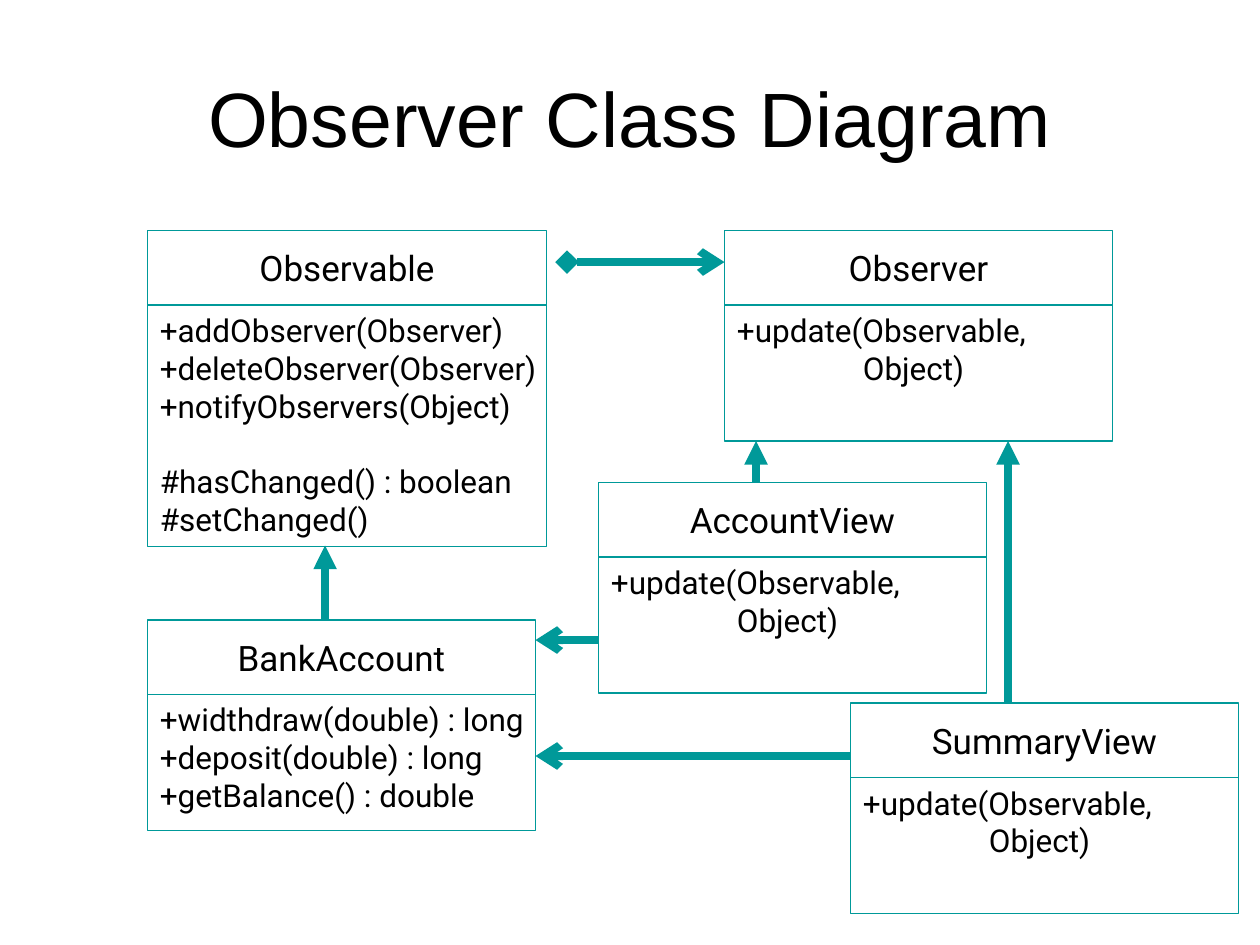
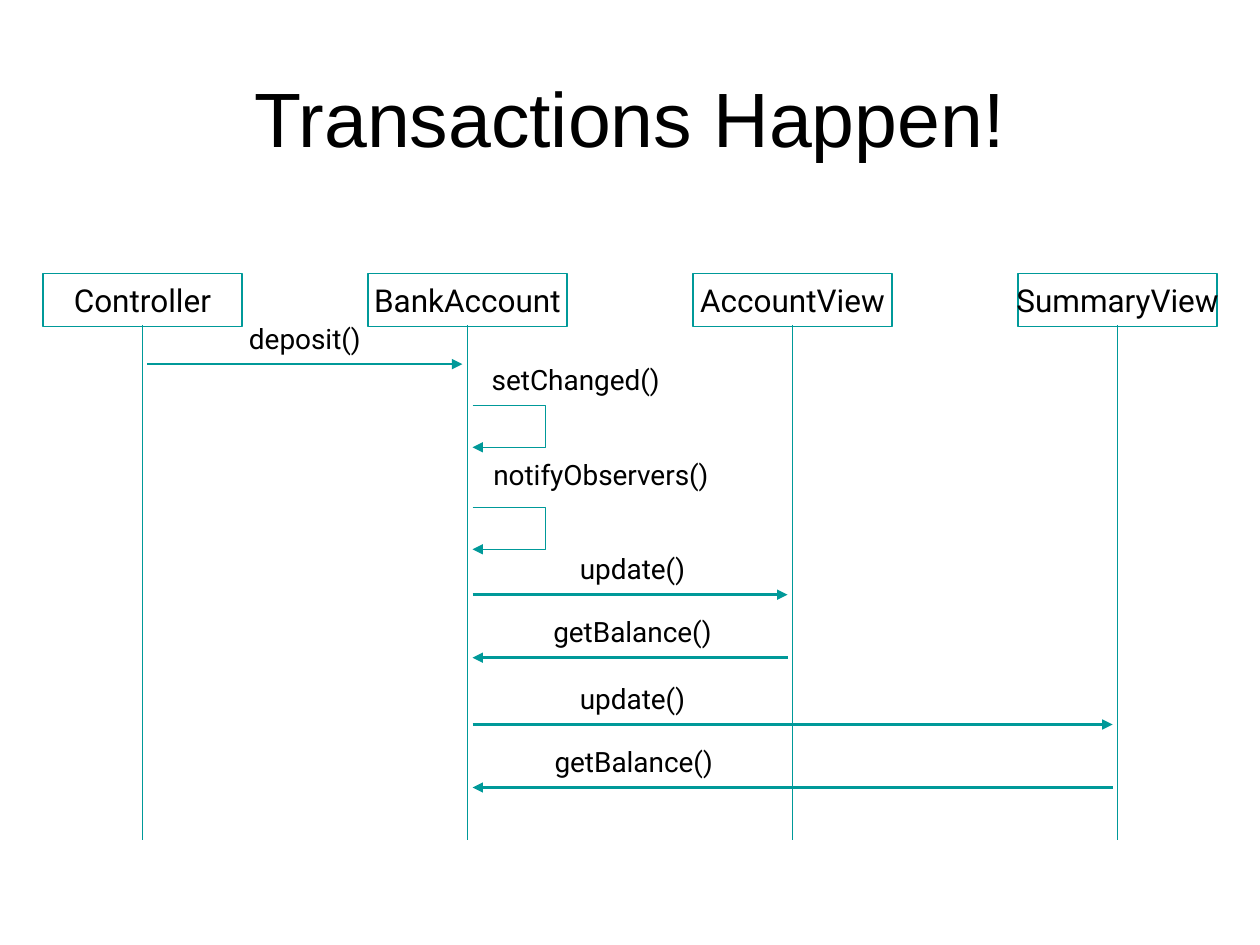
from pptx import Presentation
from pptx.dml.color import RGBColor
from pptx.enum.shapes import MSO_CONNECTOR as Link, MSO_SHAPE as Shape
from pptx.enum.text import MSO_ANCHOR as Anchor, PP_ALIGN as Align
from pptx.oxml.ns import qn
from pptx.util import Inches, Pt
from lxml.etree import SubElement

TEAL = RGBColor(0x00, 0x99, 0x99)
BLACK = RGBColor(0x00, 0x00, 0x00)
HEAD = 0.59
BODY = 1.08
FIRST, PITCH = 1.13, 2.58
GAP = 0.04

UPDATE = ["+update(Observable,", "\tObject)"]
CLASSES = [
    ("Observable", 1.17, 1.83, 3.17, 1.92,
     ["+addObserver(Observer)", "+deleteObserver(Observer)",
      "+notifyObservers(Object)", "#hasChanged() : boolean",
      "#setChanged()"]),
    ("Observer", 5.75, 1.83, 3.08, BODY, UPDATE),
    ("AccountView", 4.75, 3.83, 3.08, BODY, UPDATE),
    ("BankAccount", 1.17, 4.92, 3.08, BODY,
     ["+widthdraw(double) : long", "+deposit(double) : long",
      "+getBalance() : double"]),
    ("SummaryView", 6.75, 5.58, 3.08, BODY, UPDATE),
]
LINKS = [
    (4.5, 2.08, 5.75, 2.08, "arrow", "diamond"),
    (2.58, 4.92, 2.58, 4.33, "triangle", None),
    (6, 3.83, 6, 3.5, "triangle", None),
    (8, 5.58, 8, 3.5, "triangle", None),
    (4.75, 5.08, 4.25, 5.08, "arrow", None),
    (6.75, 6, 4.25, 6, "arrow", None),
]
ACTORS = ["Controller", "BankAccount", "AccountView", "SummaryView"]
CALLS = [
    ("deposit()", 0, 1, 2.89, 2.42),
    ("update()", 1, 2, 4.72, 5.02),
    ("getBalance()", 2, 1, 5.22, 5.02),
    ("update()", 1, 3, 5.75, 5.02),
    ("getBalance()", 3, 1, 6.25, 5.03),
]
LOOPS = [("setChanged()", 3.22, 2.83, 4.57),
         ("notifyObservers()", 4.03, 3.58, 4.77)]


def style(para, size, align=Align.CENTER, face="Roboto"):
    """Set the alignment and font of a paragraph."""
    para.alignment = align
    font = para.font
    font.name, font.size = face, Pt(size)
    font.color.rgb = BLACK


def add_text(slide, text, x, y, w, h, size, face="Roboto", anchor=Anchor.TOP):
    """Add one centred line of text."""
    frame = slide.shapes.add_textbox(
        Inches(x), Inches(y), Inches(w), Inches(h)).text_frame
    frame.word_wrap = True
    frame.vertical_anchor = anchor
    frame.text = text
    style(frame.paragraphs[0], size, face=face)


def add_slide(deck, title):
    """Add a blank slide with its title."""
    slide = deck.slides.add_slide(deck.slide_layouts[6])
    add_text(slide, title, 0.5, 0.3, 9, 1.25, 44, "Arial", Anchor.MIDDLE)
    return slide


def outline(shape, width=0.75):
    """Give a shape or line the shared teal stroke."""
    shape.line.color.rgb = TEAL
    shape.line.width = Pt(width)


def add_box(shapes, x, y, w, h):
    """Add an outlined rectangle and return its text frame."""
    box = shapes.add_shape(
        Shape.RECTANGLE, Inches(x), Inches(y), Inches(w), Inches(h))
    box.shadow.inherit = False
    box.fill.background()
    outline(box)
    return box.text_frame


def add_name(shapes, text, x, y, w, h, size):
    """Add a box with a centred name."""
    frame = add_box(shapes, x, y, w, h)
    frame.word_wrap = False
    frame.vertical_anchor = Anchor.MIDDLE
    frame.text = text
    style(frame.paragraphs[0], size)


def add_class(slide, name, x, y, w, h, members):
    """Add a class box: its name above its members."""
    shapes = slide.shapes.add_group_shape().shapes
    add_name(shapes, name, x, y, w, HEAD, 20)
    frame = add_box(shapes, x, y + HEAD, w, h)
    frame.word_wrap = True
    frame.margin_right = 0
    frame.vertical_anchor = Anchor.TOP
    frame.text = "\n".join(members)
    for para in frame.paragraphs:
        if para.text.startswith("#has"):
            para.space_before = Pt(21.6)
        if para.text.startswith("\t"):
            tabs = SubElement(para._p.get_or_add_pPr(), qn("a:tabLst"))
            SubElement(tabs, qn("a:tab"), pos=str(Inches(1)), algn="l")
        style(para, 18, Align.LEFT)


def set_ends(shape, tail, head=None):
    """Put arrowheads on a line."""
    ln = shape.get_or_add_ln()
    for tag, kind in (("a:headEnd", head), ("a:tailEnd", tail)):
        if kind:
            SubElement(ln, qn(tag), type=kind)


def add_line(slide, x1, y1, x2, y2, tail=None, head=None, width=0.75):
    """Add a straight line with optional arrowheads."""
    line = slide.shapes.add_connector(
        Link.STRAIGHT, Inches(x1), Inches(y1), Inches(x2), Inches(y2))
    outline(line, width)
    set_ends(line, tail, head)
    SubElement(line._element.spPr, qn("a:effectLst"))


def add_label(slide, text, mid, y):
    """Add a call label centred on a point."""
    add_text(slide, text, mid - 1.1, y, 2.2, 0.37, 16)


def add_loop(slide, x, y):
    """Add a call that returns to its own lifeline."""
    right, low = Inches(x + 0.58), Inches(y + 0.33)
    path = slide.shapes.build_freeform(Inches(x), Inches(y))
    path.add_line_segments(
        [(right, Inches(y)), (right, low), (Inches(x), low)], close=False)
    loop = path.convert_to_shape()
    loop.shadow.inherit = False
    loop.fill.background()
    outline(loop)
    set_ends(loop, "triangle")


def life(index):
    """Return the x position of a lifeline."""
    return FIRST + PITCH * index


def draw_classes(deck):
    """Build the class diagram."""
    slide = add_slide(deck, "Observer Class Diagram")
    for item in CLASSES:
        add_class(slide, *item)
    for link in LINKS:
        add_line(slide, *link, width=4.5)


def draw_calls(deck):
    """Build the sequence diagram."""
    slide = add_slide(deck, "Transactions Happen!")
    for i, name in enumerate(ACTORS):
        add_name(slide.shapes, name, life(i) - 0.79, 2.17, 1.58, 0.42, 18)
        add_line(slide, life(i), 2.58, life(i), 6.67)
    for text, start, end, y, mid in CALLS:
        gap = GAP if end > start else -GAP
        add_line(slide, life(start) + gap, y, life(end) - gap, y,
                 "triangle", width=1.5)
        add_label(slide, text, mid, y - 0.39)
    for text, y, top, mid in LOOPS:
        add_loop(slide, life(1) + GAP, y)
        add_label(slide, text, mid, top)


def main():
    """Build and save the deck."""
    deck = Presentation()
    deck.slide_width, deck.slide_height = Inches(10), Inches(7.5)
    draw_classes(deck)
    draw_calls(deck)
    deck.save("out.pptx")


if __name__ == "__main__":
    main()
